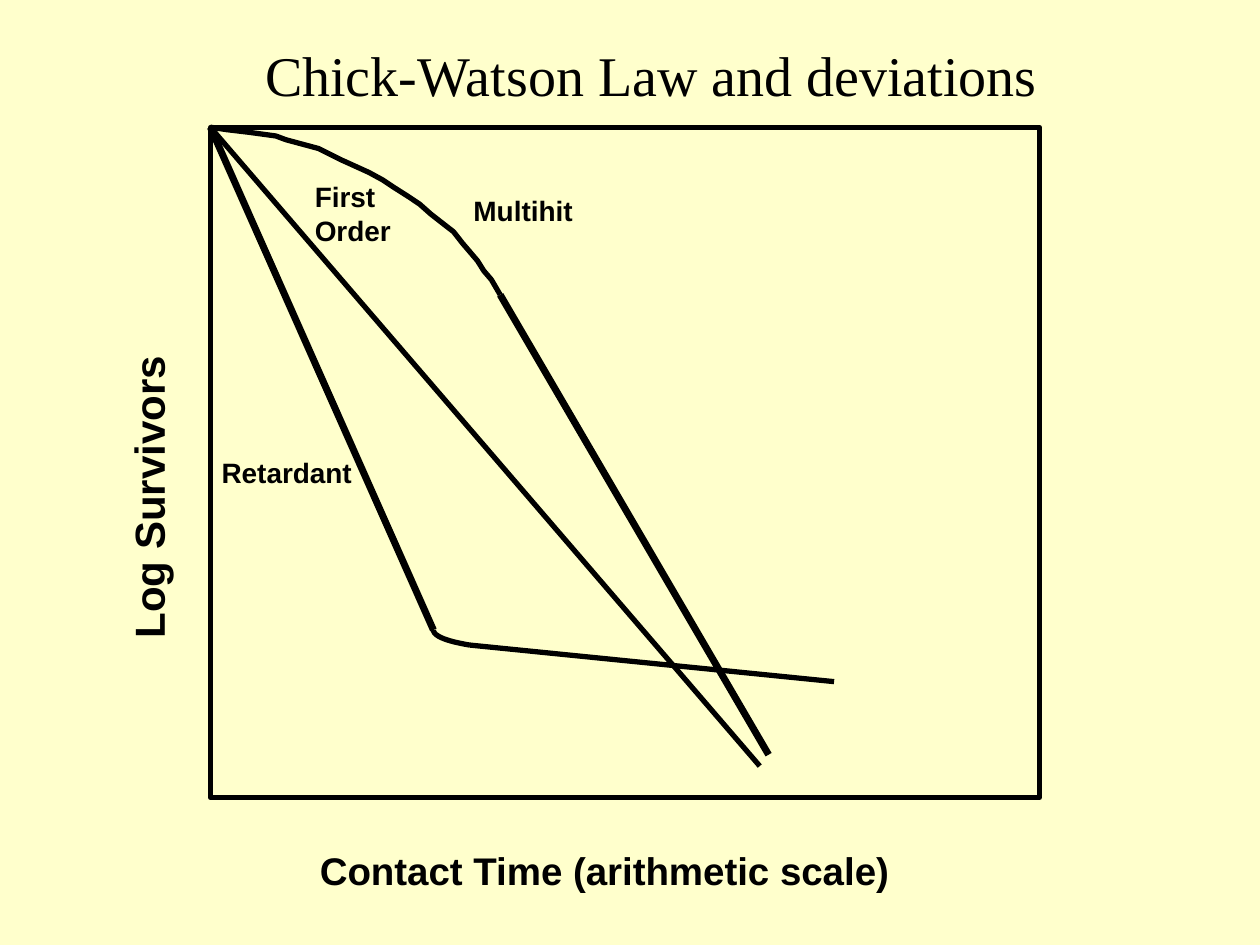
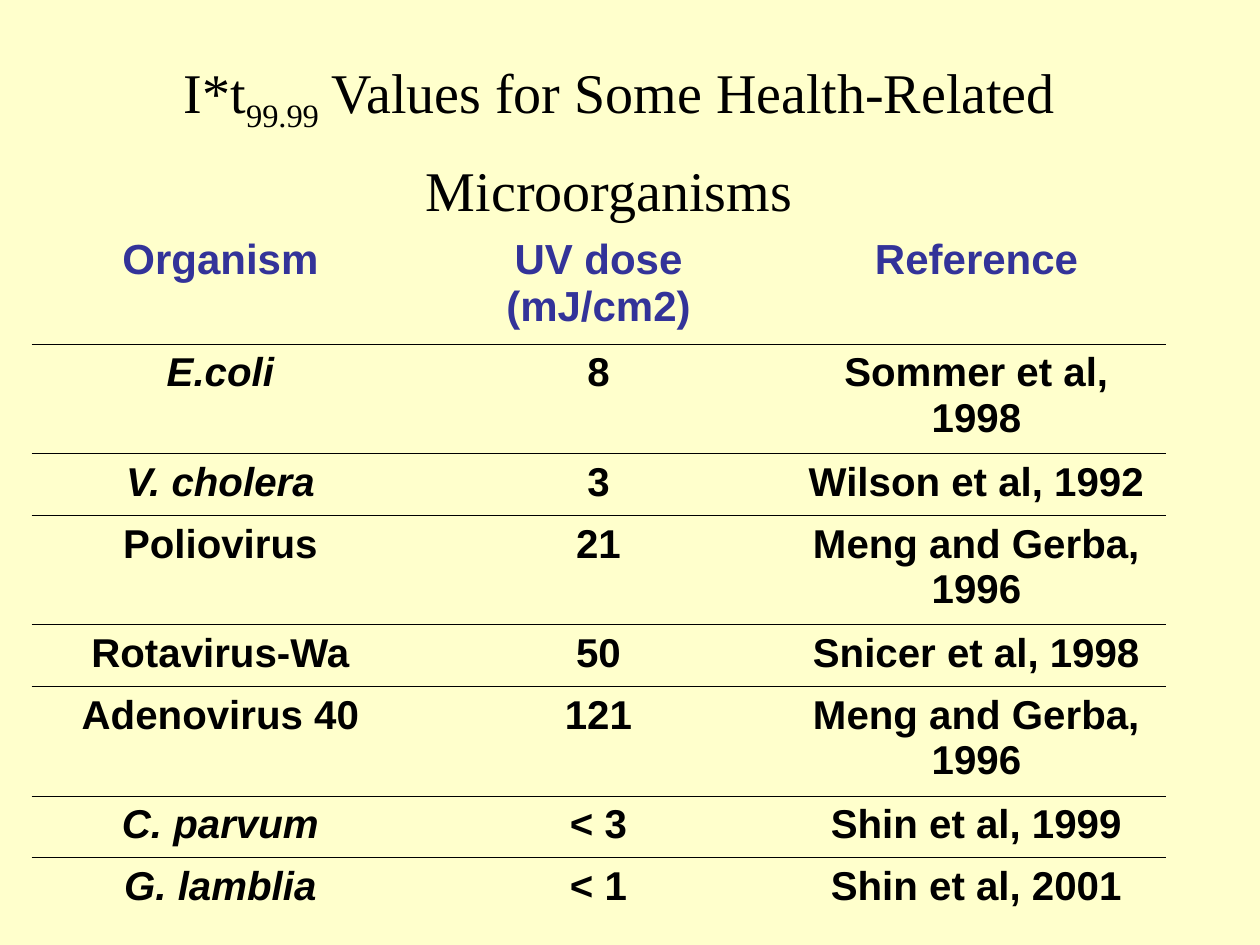
from dataclasses import dataclass

from lxml import etree
from pptx import Presentation
from pptx.dml.color import RGBColor as RGB
from pptx.enum.shapes import MSO_CONNECTOR as Connector, MSO_SHAPE as Shape
from pptx.enum.text import MSO_ANCHOR as Anchor, MSO_AUTO_SIZE as AutoSize, PP_ALIGN as Align
from pptx.oxml.ns import qn
from pptx.util import Inches, Pt


@dataclass(frozen=True)
class Theme:
    background: RGB = RGB(0xFF, 0xFF, 0xCC)
    ink: RGB = RGB(0, 0, 0)
    heading: RGB = RGB(0x33, 0x33, 0x99)
    title_font: str = "Times New Roman"
    body_font: str = "Arial"
    title_size: float = 32
    title_end_size: float = 44
    y_axis_size: float = 24
    x_axis_size: float = 22
    curve_label_size: float = 16
    header_size: float = 24
    cell_size: float = 23
    thin_curve: float = 3
    thick_curve: float = 4
    rule: float = 0.45


THEME = Theme()
TITLE_ONLY = 5

ORIGIN = (1.67, 1.01)
PLOT_SIZE = (6.58, 5.32)
MULTIHIT_SHOULDER = [
    ORIGIN, (1.8, 1.03), (1.97, 1.05), (2.19, 1.08), (2.27, 1.11), (2.53, 1.18),
    (2.61, 1.22), (2.71, 1.27), (2.82, 1.32), (2.93, 1.37), (3.04, 1.43),
    (3.13, 1.49), (3.24, 1.56), (3.33, 1.62), (3.42, 1.7), (3.51, 1.77),
    (3.6, 1.84), (3.67, 1.93), (3.73, 2), (3.79, 2.07), (3.84, 2.15),
    (3.9, 2.22), (3.97, 2.34),
]
RETARDANT_BEND = [(3.44, 5), (3.44, 5.05), (3.55, 5.09), (3.73, 5.12)]

HEADERS = ("Organism", "UV dose (mJ/cm2)", "Reference")
DOSES = [
    ("E.coli", "8", "Sommer et al, 1998"),
    ("V. cholera", "3", "Wilson et al, 1992"),
    ("Poliovirus", "21", "Meng and Gerba, 1996"),
    ("Rotavirus-Wa", "50", "Snicer et al, 1998"),
    ("Adenovirus 40", "121", "Meng and Gerba, 1996"),
    ("C. parvum", "< 3", "Shin et al, 1999"),
    ("G. lamblia", "< 1", "Shin et al, 2001"),
]
LATIN_NAMES = {"E.coli", "V. cholera", "C. parvum", "G. lamblia"}
ROW_HEIGHTS = (0.9, 0.87, 0.49, 0.87, 0.49, 0.87, 0.49, 0.49)
COLUMN_WIDTH = 3


def style_run(run, size, font=THEME.body_font, color=THEME.ink, bold=True, italic=False):
    run.font.name = font
    run.font.size = Pt(size)
    run.font.color.rgb = color
    run.font.bold = bold
    run.font.italic = italic


def set_title(slide, text, left, top, width, height):
    title = slide.shapes.title
    title.left, title.top, title.width, title.height = map(Inches, (left, top, width, height))
    frame = title.text_frame
    frame.text = text
    frame.word_wrap = True
    frame.auto_size = AutoSize.NONE
    frame.vertical_anchor = Anchor.MIDDLE
    heading = frame.paragraphs[0]
    heading.alignment = Align.CENTER
    style_run(heading.runs[0], THEME.title_size, THEME.title_font, bold=False)
    return heading


def add_label(slide, lines, left, top, width, height, size, rotation=0, line_spacing=None):
    label = slide.shapes.add_textbox(*map(Inches, (left, top, width, height)))
    label.rotation = rotation
    frame = label.text_frame
    frame.word_wrap = True
    frame.text = "\n".join(lines)
    for index, line in enumerate(frame.paragraphs):
        if line_spacing:
            line.line_spacing = line_spacing
        if index:
            line.space_before = Pt(10)
        style_run(line.runs[0], size)


def style_stroke(line, weight):
    line.color.rgb = THEME.ink
    line.width = Pt(weight)


def add_line(slide, start, end, weight):
    segment = slide.shapes.add_connector(Connector.STRAIGHT, *map(Inches, start + end))
    style_stroke(segment.line, weight)
    etree.SubElement(segment._element.spPr, qn("a:effectLst"))


def add_curve(slide, points, weight):
    start, *rest = [(Inches(x), Inches(y)) for x, y in points]
    builder = slide.shapes.build_freeform(*start)
    builder.add_line_segments(rest, close=False)
    curve = builder.convert_to_shape()
    curve.shadow.inherit = False
    curve.fill.background()
    style_stroke(curve.line, weight)


def add_plot_frame(slide):
    frame = slide.shapes.add_shape(Shape.RECTANGLE, *map(Inches, ORIGIN + PLOT_SIZE))
    frame.shadow.inherit = False
    frame.fill.background()
    style_stroke(frame.line, THEME.thin_curve)


def bezier(controls, steps=12):
    """Return points along the cubic curve given by four control points."""
    points = []
    for step in range(steps + 1):
        t = step / steps
        weights = ((1 - t) ** 3, 3 * t * (1 - t) ** 2, 3 * t ** 2 * (1 - t), t ** 3)
        points.append(tuple(sum(w * p[axis] for w, p in zip(weights, controls))
                            for axis in (0, 1)))
    return points


def set_borders(cell, top, bottom):
    """Draw only the requested horizontal rules of a cell."""
    properties = cell._tc.get_or_add_tcPr()
    for side, shown in (("L", False), ("R", False), ("T", top), ("B", bottom)):
        border = etree.SubElement(properties, qn(f"a:ln{side}"), w=str(Pt(THEME.rule)))
        if shown:
            fill = etree.SubElement(border, qn("a:solidFill"))
            etree.SubElement(fill, qn("a:srgbClr"), val=str(THEME.ink))
        else:
            etree.SubElement(border, qn("a:noFill"))


def fill_cell(cell, text, size, color, italic):
    cell.margin_left = cell.margin_right = Inches(0.1)
    cell.margin_top = cell.margin_bottom = Inches(0.05)
    cell.text_frame.text = text
    entry = cell.text_frame.paragraphs[0]
    entry.alignment = Align.CENTER
    style_run(entry.runs[0], size, color=color, italic=italic)


def add_dose_table(slide, left, top):
    rows = [HEADERS] + DOSES
    width = COLUMN_WIDTH * len(HEADERS)
    table = slide.shapes.add_table(
        len(rows), len(HEADERS),
        *map(Inches, (left, top, width, sum(ROW_HEIGHTS)))).table
    table.first_row = table.horz_banding = False
    for row, height in zip(table.rows, ROW_HEIGHTS):
        row.height = Inches(height)
    for r, values in enumerate(rows):
        is_header = r == 0
        size = THEME.header_size if is_header else THEME.cell_size
        color = THEME.heading if is_header else THEME.ink
        for c, value in enumerate(values):
            cell = table.cell(r, c)
            set_borders(cell, top=not is_header, bottom=r < len(rows) - 1)
            cell.fill.background()
            fill_cell(cell, value, size, color, value in LATIN_NAMES)


def build_survival_slide(slide):
    set_title(slide, "Chick-Watson Law and deviations", 0.17, 0.24, 10, 0.7)
    thin, thick = THEME.thin_curve, THEME.thick_curve
    add_plot_frame(slide)

    add_line(slide, ORIGIN, (6.03, 6.08), thin)
    add_line(slide, ORIGIN, RETARDANT_BEND[0], thick)
    add_curve(slide, bezier(RETARDANT_BEND), thin)
    add_line(slide, RETARDANT_BEND[-1], (6.62, 5.41), thin)
    add_curve(slide, MULTIHIT_SHOULDER, thin)
    add_line(slide, MULTIHIT_SHOULDER[-1], (6.1, 5.99), thick)

    size = THEME.curve_label_size
    add_label(slide, ["Multihit"], 3.66, 1.49, 1.34, 0.36, size)
    add_label(slide, ["First", "Order"], 2.4, 1.49, 0.82, 0.5, size, line_spacing=0.5)
    add_label(slide, ["Retardant"], 1.66, 3.57, 1.51, 0.77, size)
    add_label(slide, ["Contact Time (arithmetic scale)"], 2.44, 6.67, 4.97, 0.46,
              THEME.x_axis_size)
    add_label(slide, ["Log Survivors"], -0.82, 2.92, 3.99, 0.5, THEME.y_axis_size,
              rotation=270)


def build_dose_slide(slide):
    heading = set_title(slide, "I*t", 0.67, 0.67, 8.5, 0.92)
    subscript, rest, line_end = (heading.add_run() for _ in range(3))
    subscript.text = "99.99"
    rest.text = " Values for Some Health-Related Microorganisms"
    line_end.text = " "
    for run in (subscript, rest):
        style_run(run, THEME.title_size, THEME.title_font, bold=False)
    subscript.font._element.set("baseline", "-25000")
    style_run(line_end, THEME.title_end_size)
    add_dose_table(slide, 0.25, 1.83)


def main():
    deck = Presentation()
    deck.slide_width, deck.slide_height = Inches(10), Inches(7.5)
    background = deck.slide_master.background.fill
    background.solid()
    background.fore_color.rgb = THEME.background
    for build in (build_survival_slide, build_dose_slide):
        build(deck.slides.add_slide(deck.slide_layouts[TITLE_ONLY]))
    deck.save("out.pptx")


if __name__ == "__main__":
    main()
